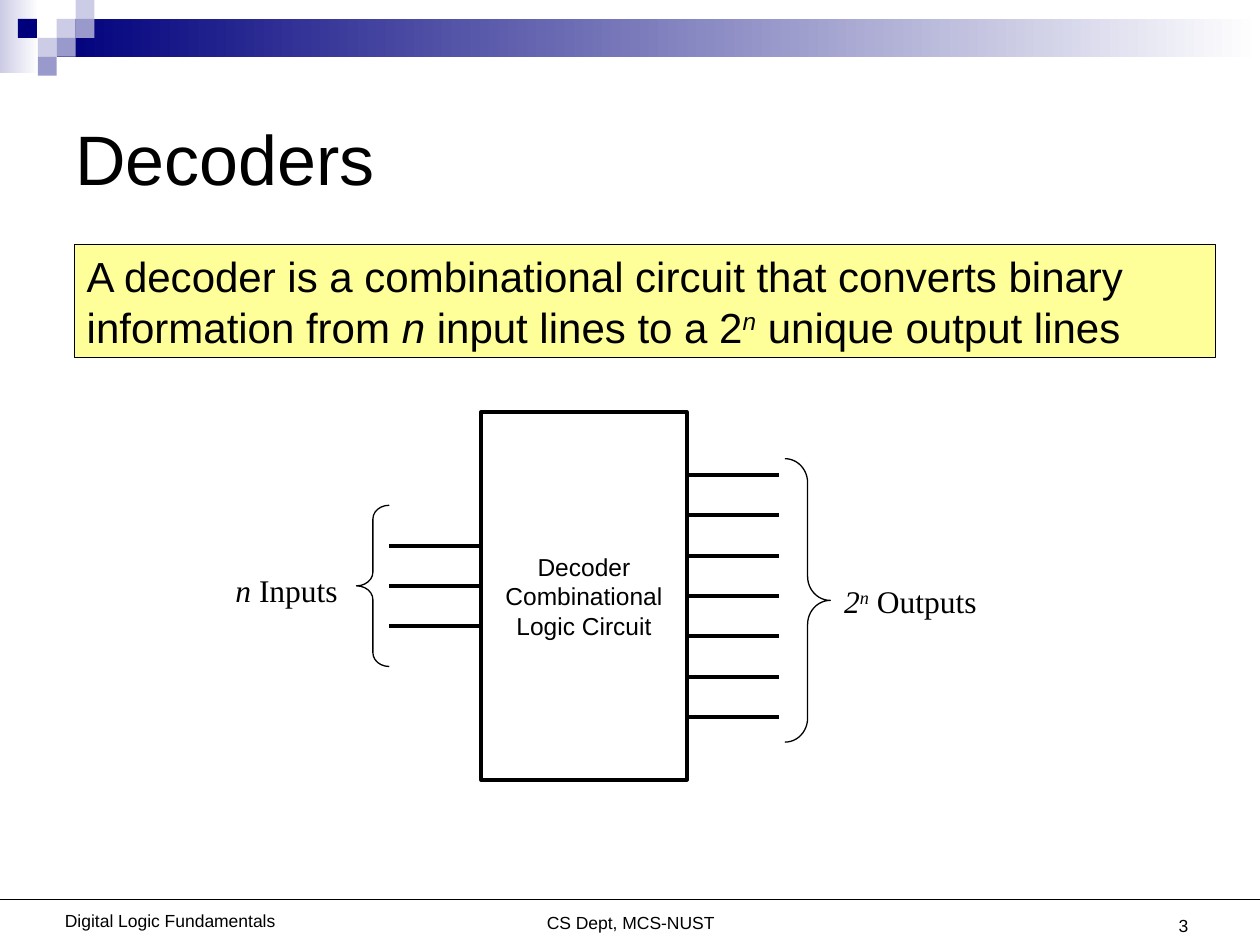
from lxml import etree
from pptx import Presentation
from pptx.dml.color import RGBColor
from pptx.enum.shapes import MSO_CONNECTOR, MSO_SHAPE
from pptx.enum.text import MSO_ANCHOR, PP_ALIGN
from pptx.oxml.ns import qn
from pptx.util import Inches, Pt

RECTANGLE = MSO_SHAPE.RECTANGLE
LEFT_BRACE, RIGHT_BRACE = MSO_SHAPE.LEFT_BRACE, MSO_SHAPE.RIGHT_BRACE
STRAIGHT = MSO_CONNECTOR.STRAIGHT
TOP, MIDDLE, BOTTOM = MSO_ANCHOR.TOP, MSO_ANCHOR.MIDDLE, MSO_ANCHOR.BOTTOM
LEFT, CENTER, RIGHT = PP_ALIGN.LEFT, PP_ALIGN.CENTER, PP_ALIGN.RIGHT
BLACK = RGBColor(0x00, 0x00, 0x00)
WHITE = RGBColor(0xFF, 0xFF, 0xFF)
NAVY = RGBColor(0x00, 0x00, 0x7D)
LAVENDER = RGBColor(0xCC, 0xCC, 0xE6)
PERIWINKLE = RGBColor(0x99, 0x99, 0xCC)
YELLOW = RGBColor(0xFF, 0xFF, 0x99)

deck = Presentation()
deck.slide_width, deck.slide_height = Inches(10), Inches(7.5)
page = deck.slides.add_slide(deck.slide_layouts[6])
COLUMN = deck.slide_width / 100
ROW = deck.slide_height / 75


def place(left, top, width, height):
    return [round(left * COLUMN), round(top * ROW), round(width * COLUMN), round(height * ROW)]


def write(box, paragraphs, size, align=LEFT, anchor=TOP, font="Arial"):
    frame = box.text_frame
    frame.word_wrap = True
    frame.vertical_anchor = anchor
    for number, spans in enumerate(paragraphs):
        para = frame.add_paragraph() if number else frame.paragraphs[0]
        para.alignment = align
        for text, style in spans:
            span = para.add_run()
            span.text = text
            span.font.color.rgb = BLACK
            formats = {"name": font, "size": Pt(size), "italic": "i" in style}
            for key, value in formats.items():
                setattr(span.font, key, value)
            if "^" in style:
                span.font._element.set("baseline", "30000")


for left, top, width, height, start in [(0, 0, 3.1, 5.8, LAVENDER), (4.5, 1.5, 95.5, 3, NAVY)]:
    band = page.shapes.add_shape(RECTANGLE, *place(left, top, width, height))
    band.shadow.inherit = False
    band.line.fill.background()
    band.fill.gradient()
    band.fill.gradient_angle = 0
    for stop, color in zip(band.fill.gradient_stops, (start, WHITE)):
        stop.color.rgb = color

TILE = 1.5
tiles = [(3, 1, LAVENDER), (4, 0, LAVENDER), (4, 1, PERIWINKLE), (2, 2, LAVENDER),
         (0.95, 1, NAVY), (3, 2, PERIWINKLE), (2, 3, PERIWINKLE)]
for column, row, color in tiles:
    tile = page.shapes.add_shape(RECTANGLE, *place(column * TILE, row * TILE, TILE, TILE))
    tile.shadow.inherit = False
    tile.line.fill.background()
    tile.fill.solid()
    tile.fill.fore_color.rgb = color

panels = []
for area, color, weight in [((5.9, 19.4, 90.6, 9), YELLOW, 0.75),
                            ((38.2, 32.7, 16.3, 29.2), WHITE, 2.25)]:
    panel = page.shapes.add_shape(RECTANGLE, *place(*area))
    panel.shadow.inherit = False
    panel.fill.solid()
    panel.fill.fore_color.rgb = color
    panel.line.color.rgb = BLACK
    panel.line.width = Pt(weight)
    panels.append(panel)
definition, decoder = panels
write(definition, [[
    ("A decoder is a combinational circuit that converts binary information from ", ""),
    ("n", "i"), (" input lines to a 2", ""), ("n", "i^"), (" unique output lines", "")]], 24)
write(decoder, [[("Decoder", "")], [("Combinational Logic Circuit", "")]], 14, CENTER, MIDDLE)

labels = [
    ((5, 5, 90, 15), [("Decoders", "")], 40, LEFT, MIDDLE, "Arial"),
    ((3.5, 71.7, 20, 2.6), [("Digital Logic Fundamentals", "")], 10, CENTER, TOP, "Arial"),
    ((29.2, 71.9, 41.7, 2.6), [("CS Dept, MCS-NUST", "")], 10, CENTER, TOP, "Arial"),
    ((72, 69.8, 23.3, 5), [("3", "")], 10, RIGHT, BOTTOM, "Arial"),
    ((17.7, 44.8, 13.3, 4), [("n", "i"), (" Inputs", "")], 18, LEFT, TOP, "Times New Roman"),
    ((63.1, 45.7, 15.4, 4), [("2", "i"), ("n", "i^"), (" Outputs", "")], 18, RIGHT, TOP,
     "Times New Roman"),
]
for area, spans, size, align, anchor, font in labels:
    write(page.shapes.add_textbox(*place(*area)), [spans], size, align, anchor, font)

PITCH = 3.2
DECODER_MIDDLE = 47.3
lines = [(0, 100, 71.4, 0.75)]
lines += [(61.8, 54.5, DECODER_MIDDLE + step * PITCH, 2.25) for step in range(-3, 4)]
lines += [(38.2, 30.9, 46.5 + step * PITCH, 2.25) for step in range(-1, 2)]
for start, end, height, weight in lines:
    x1, y, x2, _ = place(start, height, end, 0)
    line = page.shapes.add_connector(STRAIGHT, x1, y, x2, y)
    line.line.color.rgb = BLACK
    line.line.width = Pt(weight)
    etree.SubElement(line._element.spPr, qn("a:effectLst"))
    if height == DECODER_MIDDLE:
        line.end_connect(decoder, 3)

for kind, area, curl in [(RIGHT_BRACE, (62.3, 36.4, 3.6, 22.5), 0.53),
                         (LEFT_BRACE, (28.3, 40.1, 2.6, 12.8), 0.42)]:
    brace = page.shapes.add_shape(kind, *place(*area))
    brace.shadow.inherit = False
    brace.fill.background()
    brace.line.color.rgb = BLACK
    brace.line.width = Pt(0.75)
    brace.adjustments[0] = curl

deck.save("out.pptx")
